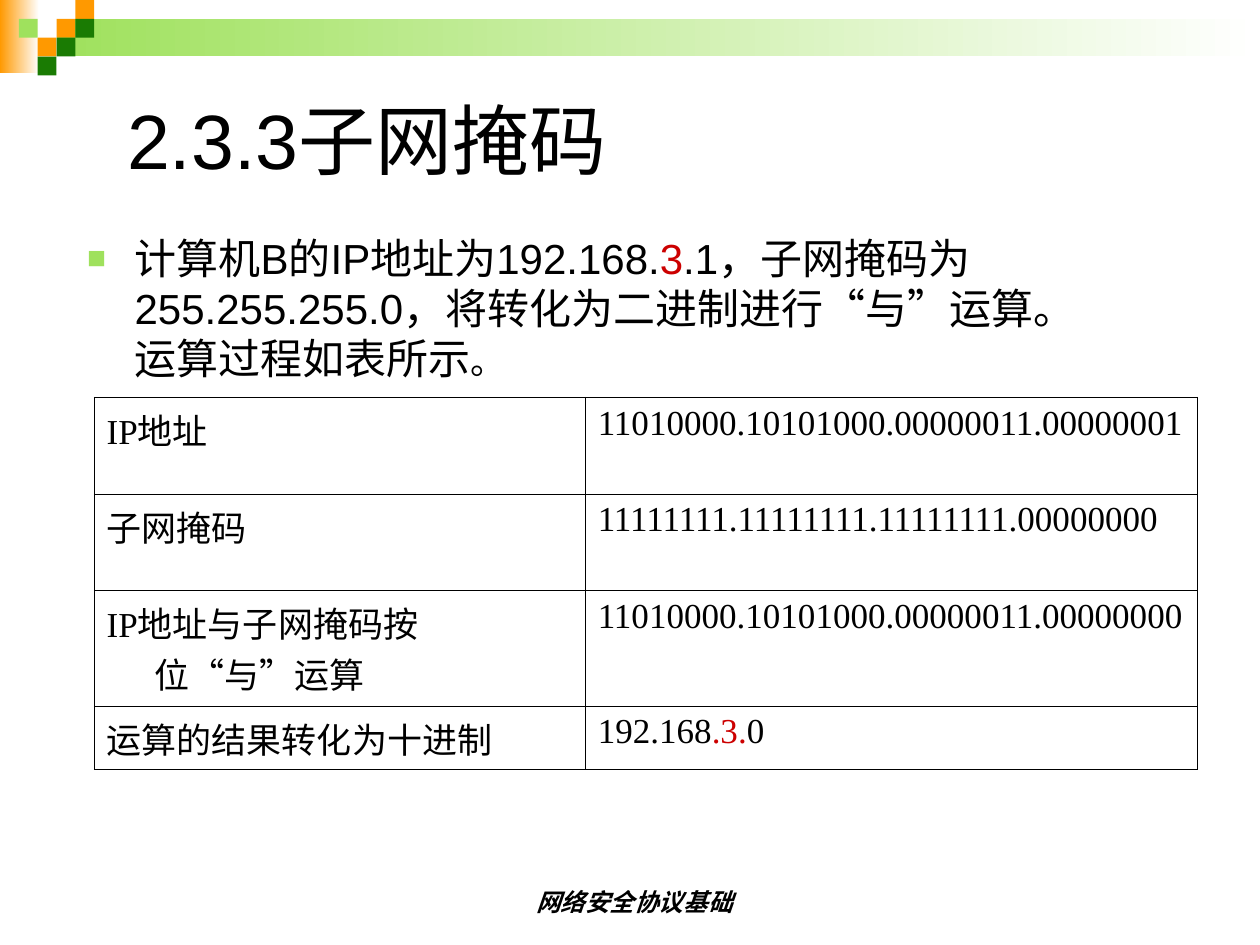
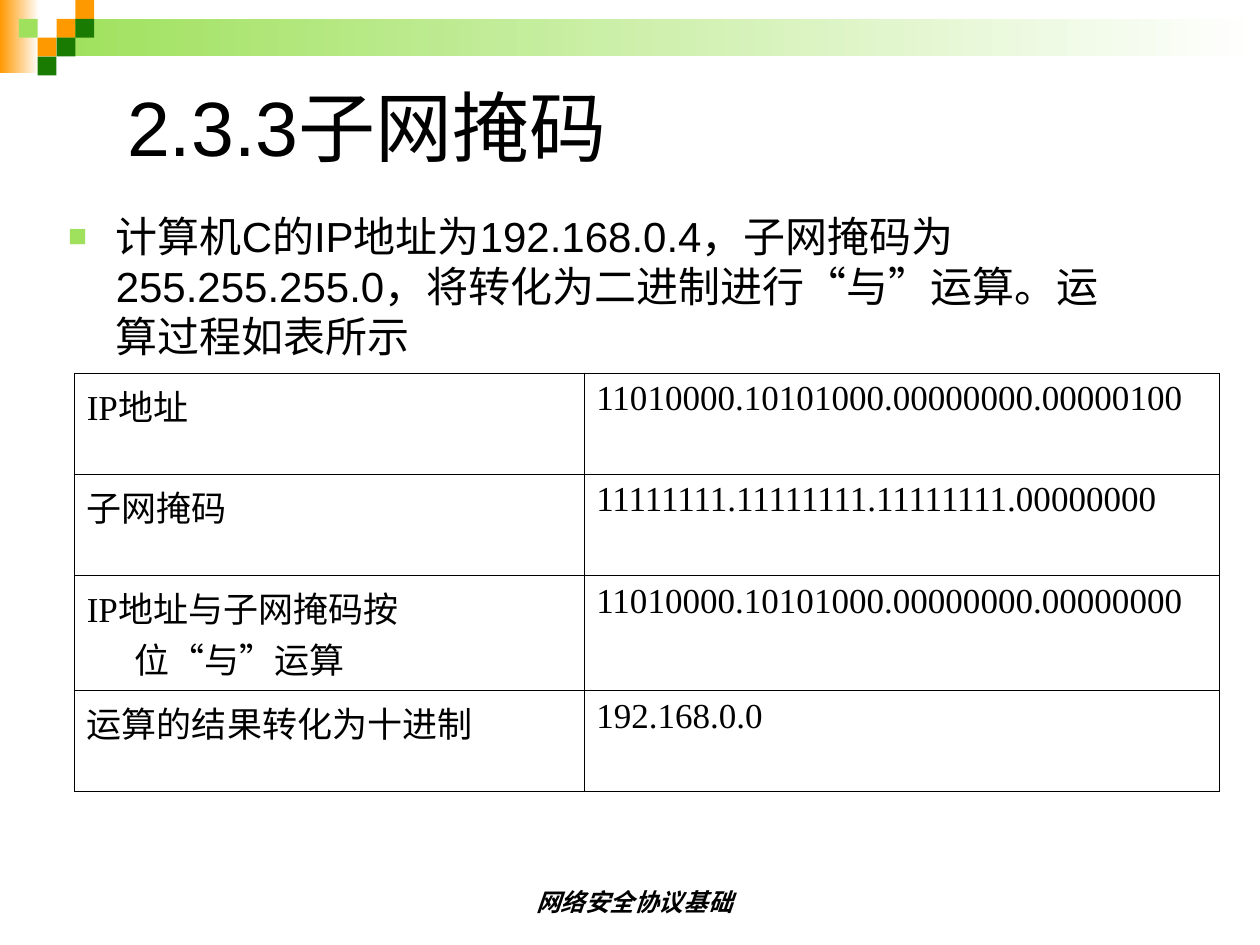
from lxml import etree
from pptx import Presentation
from pptx.dml.color import RGBColor
from pptx.enum.shapes import MSO_SHAPE as Preset
from pptx.enum.text import MSO_ANCHOR as Anchor, MSO_AUTO_SIZE as AutoSize, PP_ALIGN as Align
from pptx.oxml.ns import qn
from pptx.util import Cm, Pt

BLACK = RGBColor(0x00, 0x00, 0x00)
WHITE = RGBColor(0xFF, 0xFF, 0xFF)
RED = RGBColor(0xCC, 0x00, 0x00)
ORANGE = RGBColor(0xFF, 0x99, 0x00)
LIME = RGBColor(0x9F, 0xE1, 0x5D)
GREEN = RGBColor(0x1A, 0x7B, 0x03)

SANS, SERIF = "Arial", "Times New Roman"
HANGING = Cm(0.96)
TILE = 0.38
TWO_LINES = 2.32  # row height that holds the wrapped label
# Column and row of each tile in the corner mosaic
TILES = [(3, 1, ORANGE), (4, 0, ORANGE), (4, 1, GREEN), (2, 2, ORANGE),
         (1, 1, LIME), (3, 2, GREEN), (2, 3, GREEN)]

TITLE = "2.3.3子网掩码"
FOOTER = " 网络安全协议基础"
AND_LABEL = ["IP地址与子网掩码按位", ("“", {"font": SANS}), "与",
             ("”", {"font": SANS}), "运算"]
LABELS = [["IP地址"], ["子网掩码"], AND_LABEL, ["运算的结果转化为十进制"]]


def add_text(paragraph, text, size=24, font=SANS, color=BLACK, bold=False, italic=False):
    run = paragraph.add_run()
    run.text = text
    run.font.size = Pt(size)
    run.font.name = font
    run.font.color.rgb = color
    run.font.bold = bold
    run.font.italic = italic


def add_parts(paragraph, parts, **base):
    """Each part is plain text, or a pair of text and its own format."""
    for part in parts:
        text, own = (part, {}) if isinstance(part, str) else part
        add_text(paragraph, text, **{**base, **own})


def add_xml(parent, tag, **attributes):
    return etree.SubElement(parent, qn(tag), attributes)


def hang(paragraph):
    properties = paragraph._p.get_or_add_pPr()
    properties.set("marL", str(HANGING))
    properties.set("indent", str(-HANGING))
    return properties


class Deck:
    def __init__(self):
        self.prs = Presentation()
        self.prs.slide_width, self.prs.slide_height = Cm(25.4), Cm(19.05)
        self.slide = None

    def new_slide(self):
        self.slide = self.prs.slides.add_slide(self.prs.slide_layouts[1])
        self.corner()
        self.footer()

    def block(self, left, top, width, height, color, fade=False):
        block = self.slide.shapes.add_shape(
            Preset.RECTANGLE, Cm(left), Cm(top), Cm(width), Cm(height))
        block.shadow.inherit = False
        block.line.fill.background()
        if fade:
            block.fill.gradient()
            block.fill.gradient_angle = 0
            for stop, shade in zip(block.fill.gradient_stops, (color, WHITE)):
                stop.color.rgb = shade
        else:
            block.fill.solid()
            block.fill.fore_color.rgb = color

    def corner(self):
        self.block(0, 0, 0.79, 1.47, ORANGE, fade=True)
        self.block(3 * TILE, TILE, 24.26, 2 * TILE, LIME, fade=True)
        for column, row, color in TILES:
            self.block(column * TILE, row * TILE, TILE, TILE, color)

    def footer(self):
        frame = self.slide.shapes.add_textbox(
            Cm(8.71), Cm(17.32), Cm(8.05), Cm(1.27)).text_frame
        frame.word_wrap = True
        frame.vertical_anchor = Anchor.BOTTOM
        frame.paragraphs[0].alignment = Align.CENTER
        add_text(frame.paragraphs[0], FOOTER, size=14, bold=True, italic=True)

    def place(self, holder, left, top, width, height, anchor):
        holder.left, holder.top = Cm(left), Cm(top)
        holder.width, holder.height = Cm(width), Cm(height)
        frame = holder.text_frame
        frame.auto_size = AutoSize.NONE
        frame.word_wrap = True
        frame.vertical_anchor = anchor
        return frame.paragraphs[0]

    def title(self, top):
        heading = self.place(self.slide.shapes.title, 2.31, top, 20.8, 2.54, Anchor.MIDDLE)
        heading.alignment = Align.LEFT
        add_text(heading, TITLE, size=44)

    def bullet(self, box, parts, space_before):
        item = self.place(self.slide.placeholders[1], *box, Anchor.TOP)
        item.space_before = Pt(space_before)
        properties = hang(item)
        add_xml(add_xml(properties, "a:buClr"), "a:srgbClr", val=str(LIME))
        add_xml(properties, "a:buSzPct", val="75000")
        add_xml(properties, "a:buFont", typeface=SANS)
        add_xml(properties, "a:buChar", char="■")
        add_parts(item, parts)

    def table(self, left, top, widths, heights, results):
        grid = self.slide.shapes.add_table(
            len(heights), len(widths), Cm(left), Cm(top),
            Cm(sum(widths)), Cm(sum(heights))).table
        grid.first_row = grid.horz_banding = False
        for column, width in zip(grid.columns, widths):
            column.width = Cm(width)
        for r, row in enumerate(zip(LABELS, results)):
            grid.rows[r].height = Cm(heights[r])
            for c, parts in enumerate(row):
                self.cell(grid.cell(r, c), parts)

    def cell(self, cell, parts):
        properties = cell._tc.get_or_add_tcPr()
        for side in "LRTB":
            border = add_xml(properties, f"a:ln{side}", w=str(Pt(0.45)))
            add_xml(add_xml(border, "a:solidFill"), "a:srgbClr", val=str(BLACK))
        cell.fill.background()
        cell.margin_left = cell.margin_right = Cm(0.25)
        cell.margin_top = cell.margin_bottom = Cm(0.13)
        paragraph = cell.text_frame.paragraphs[0]
        hang(paragraph)
        add_parts(paragraph, parts, size=20, font=SERIF)


def main():
    deck = Deck()

    # Computer B
    deck.new_slide()
    deck.title(1.52)
    deck.bullet((1.5, 4.55, 19.61, 12.27), [
        "计算机B的IP地址为192.168.", ("3", {"color": RED}),
        ".1，子网掩码为255.255.255.0，将转化为二进制进行“与”运算。运算过程如表所示",
        ("。", {"size": 20})], space_before=5)
    deck.table(1.9, 8.01, [9.9, 12.34], [1.95, 1.95, TWO_LINES, 1.27], [
        ["11010000.10101000.00000011.00000001"],
        ["11111111.11111111.11111111.00000000"],
        ["11010000.10101000.00000011.00000000"],
        ["192.168", (".3.", {"color": RED}), "0"]])

    # Computer C
    deck.new_slide()
    deck.title(1.27)
    deck.bullet((1.12, 4.11, 22.02, 11.43), [
        "计算机C的IP地址为192.168.0.4，子网掩码为255.255.255.0，"
        "将转化为二进制进行“与”运算。运算过程如表所示"], space_before=6)
    deck.table(1.5, 7.52, [10.27, 12.81], [2.04, 2.04, TWO_LINES, 2.04], [
        ["11010000.10101000.00000000.00000100"],
        ["11111111.11111111.11111111.00000000"],
        ["11010000.10101000.00000000.00000000"],
        ["192.168.0.0"]])

    deck.prs.save("out.pptx")


if __name__ == "__main__":
    main()
